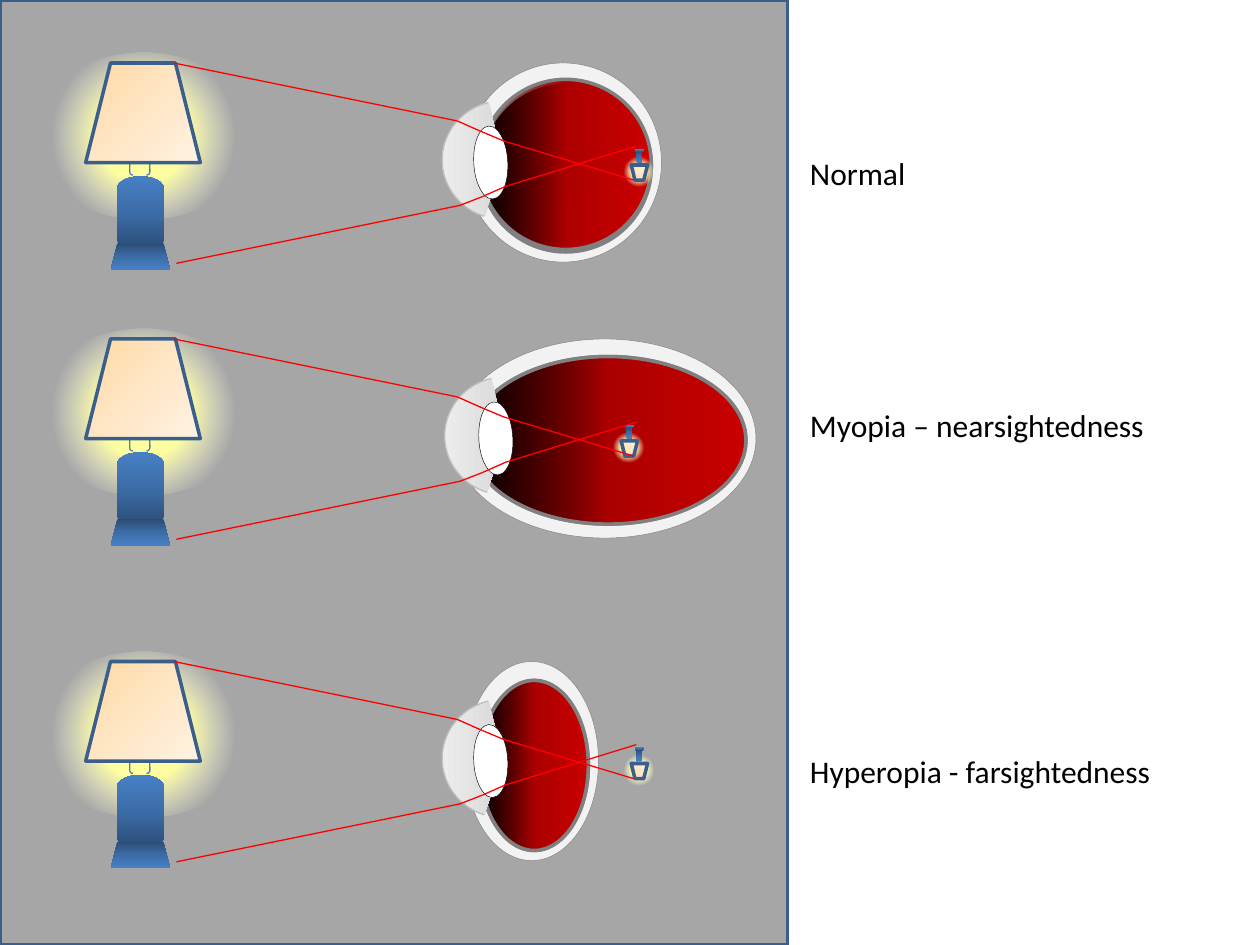
from dataclasses import dataclass
from typing import Optional

from pptx import Presentation
from pptx.dml.color import RGBColor
from pptx.enum.shapes import MSO_CONNECTOR, MSO_SHAPE
from pptx.enum.text import MSO_AUTO_SIZE
from pptx.oxml import parse_xml
from pptx.oxml.ns import nsdecls, qn
from pptx.oxml.xmlchemy import OxmlElement
from pptx.util import Emu, Pt

PX = 9144  # 100 px to the inch

COLORS = {
    "panel": "A6A6A6", "outline": "3A5F8C", "sclera": "F2F2F2", "gray": "808080",
    "black": "000000", "white": "FFFFFF", "cornea": "BFBFBF", "bracket": "4B7EBC",
    "ray": "FF0000",
}


@dataclass(frozen=True)
class Gradient:
    stops: tuple  # (position %, colour, opacity %)
    angle: Optional[int] = None  # None means circular


@dataclass(frozen=True)
class Part:
    kind: MSO_SHAPE
    box: tuple  # left, top, width, height
    fill: object = None  # colour name, Gradient or None
    line: Optional[str] = None
    weight: float = 0.75
    rotation: float = 0
    flip: str = ""
    adjustments: tuple = ()


@dataclass(frozen=True)
class Eye:
    label: str
    label_top: int
    top: int
    sclera: tuple  # left, width
    retina: tuple  # left, top, width, height
    retina_lift: int  # how far the red layer sits above the black one
    cornea_left: int
    lens_left: int
    image_left: int


BLUE_STOPS = ((0, "2A4C75", 100), (50, "3C6CA6", 100), (100, "4780C5", 100))
BODY = Gradient(BLUE_STOPS, 180)
BASE = Gradient(BLUE_STOPS, 90)
SHADE = Gradient(((0, "FFD8A0", 100), (50, "FFE6C5", 100), (100, "FFF2E3", 100)), 45)
GLOW = Gradient(((32, "FFFFA0", 100), (50, "FFFFC5", 46), (66, "FFFFE3", 0), (100, "FFFFE3", 0)))
RED = Gradient(((0, "790000", 0), (50, "AC0000", 100), (100, "CC0000", 100)), 0)
CORNEA = Gradient(((0, "B9CDE5", 100), (50, "D9D9D9", 100), (100, "ECECEC", 100)), 180)

# Tops are measured from the top of each row
LAMP_GLOW = Part(MSO_SHAPE.OVAL, (25, -8, 178, 132), GLOW)
LAMP = (
    Part(MSO_SHAPE.FLOWCHART_TERMINATOR, (82, 101, 59, 37), BODY, rotation=90),
    Part(MSO_SHAPE.TRAPEZOID, (88, 143, 47, 21), BASE),
    Part(MSO_SHAPE.DOUBLE_BRACKET, (103, 65, 16, 24), line="bracket", flip="H"),
    Part(MSO_SHAPE.TRAPEZOID, (68, 0, 91, 79), SHADE, "outline", 2),
)
# The upside-down lamp is measured from the corner of its glow
IMAGE_TOP = 74
IMAGE = (
    Part(MSO_SHAPE.OVAL, (0, 0, 28, 24), GLOW),
    Part(MSO_SHAPE.FLOWCHART_TERMINATOR, (10, -2, 9, 5), BODY, rotation=270, flip="V"),
    Part(MSO_SHAPE.TRAPEZOID, (11, -6, 7, 3), BASE, flip="V"),
    Part(MSO_SHAPE.DOUBLE_BRACKET, (13, 5, 2, 4), line="bracket", flip="HV"),
    Part(MSO_SHAPE.TRAPEZOID, (8, 7, 13, 12), SHADE, "outline", 2, flip="V"),
)
RAYS = (
    ((138, 0), (363, 46), (381, 54), (400, 62), (503, 93)),
    ((140, 159), (365, 113), (383, 106), (401, 98), (505, 66)),
)
EYES = (
    Eye("Normal", 67, 50, (369, 156), (381, 15, 136, 135), 2, 351, 376, 493),
    Eye("Myopia – nearsightedness", 48, 269, (360, 240), (373, 14, 219, 133), 0, 353, 380, 485),
    Eye("Hyperopia - farsightedness", 67, 525, (369, 106), (381, 15, 86, 135), 0, 351, 376, 493),
)


def px(value: int) -> Emu:
    return Emu(value * PX)


def rgb(name: str) -> RGBColor:
    return RGBColor.from_string(COLORS[name])


def apply_gradient(shape, gradient: Gradient) -> None:
    stops = "".join(
        f'<a:gs pos="{position * 1000}"><a:srgbClr val="{color}">'
        f'<a:alpha val="{opacity * 1000}"/></a:srgbClr></a:gs>'
        for position, color, opacity in gradient.stops
    )
    if gradient.angle is None:
        shade = ('<a:path path="circle"><a:fillToRect l="50000" t="50000" '
                 'r="50000" b="50000"/></a:path>')
    else:
        shade = f'<a:lin ang="{gradient.angle * 60000}" scaled="0"/>'
    shape.fill.solid()
    properties = shape.element.spPr
    properties.replace(
        properties.find(qn("a:solidFill")),
        parse_xml(f'<a:gradFill {nsdecls("a")} rotWithShape="1">'
                  f"<a:gsLst>{stops}</a:gsLst>{shade}</a:gradFill>"),
    )


def draw_part(shapes, part: Part, left: int = 0, top: int = 0) -> None:
    x, y, width, height = part.box
    shape = shapes.add_shape(part.kind, px(left + x), px(top + y), px(width), px(height))
    shape.shadow.inherit = False
    shape.rotation = part.rotation
    for index, value in enumerate(part.adjustments):
        shape.adjustments[index] = value
    for axis in part.flip:
        shape.element.spPr.xfrm.set(f"flip{axis}", "1")
    if isinstance(part.fill, Gradient):
        apply_gradient(shape, part.fill)
    elif part.fill:
        shape.fill.solid()
        shape.fill.fore_color.rgb = rgb(part.fill)
    else:
        shape.fill.background()
    if part.line:
        shape.line.color.rgb = rgb(part.line)
        shape.line.width = Pt(part.weight)
    else:
        shape.line.fill.background()


def draw_group(slide, parts: tuple, left: int, top: int) -> None:
    group = slide.shapes.add_group_shape()
    for part in parts:
        draw_part(group.shapes, part, left, top)


def draw_ray(slide, points: tuple, top: int) -> None:
    group = slide.shapes.add_group_shape()
    for (x1, y1), (x2, y2) in zip(points, points[1:]):
        connector = group.shapes.add_connector(
            MSO_CONNECTOR.STRAIGHT, px(x1), px(top + y1), px(x2), px(top + y2))
        connector.line.color.rgb = rgb("ray")
        connector.line.width = Pt(0.75)
        connector.element.spPr.append(OxmlElement("a:effectLst"))


def add_text(slide, text: str, *, left: int, top: int, width: int, height: int,
             size: int = 18, color: str = "black", font: str = "Calibri") -> None:
    frame = slide.shapes.add_textbox(px(left), px(top), px(width), px(height)).text_frame
    frame.word_wrap = False
    frame.auto_size = MSO_AUTO_SIZE.SHAPE_TO_FIT_TEXT
    run = frame.paragraphs[0].add_run()
    run.text = text
    run.font.size = Pt(size)
    run.font.name = font
    run.font.color.rgb = rgb(color)


def draw_eye(slide, eye: Eye) -> None:
    sclera_left, sclera_width = eye.sclera
    left, top, width, height = eye.retina
    parts = (
        Part(MSO_SHAPE.OVAL, (sclera_left, 0, sclera_width, 158), "sclera", "gray", 0.25),
        Part(MSO_SHAPE.OVAL, eye.retina, "black", "gray", 2),
        Part(MSO_SHAPE.OVAL, (left, top - eye.retina_lift, width, height), RED, "gray", 2),
        Part(MSO_SHAPE.ARC, (eye.cornea_left, 30, 97, 94), CORNEA, "cornea",
             adjustments=(65.17, 153.26)),
        Part(MSO_SHAPE.OVAL, (eye.lens_left, 50, 27, 58), "white", "black", 0.25, 356.9),
    )
    for part in parts:
        draw_part(slide.shapes, part, top=eye.top)


def main() -> None:
    presentation = Presentation()
    presentation.slide_width, presentation.slide_height = px(1000), px(750)
    slide = presentation.slides.add_slide(presentation.slide_layouts[6])

    # Gray backdrop
    draw_part(slide.shapes, Part(MSO_SHAPE.RECTANGLE, (0, 0, 625, 750), "panel", "outline", 2))

    # One row per eye: eyeball, lamp, focused image, light rays
    for eye in EYES:
        draw_eye(slide, eye)
        draw_part(slide.shapes, LAMP_GLOW, top=eye.top)
        draw_group(slide, LAMP, 0, eye.top)
        draw_group(slide, IMAGE, eye.image_left, eye.top + IMAGE_TOP)
        for points in RAYS:
            draw_ray(slide, points, eye.top)

    # Labels
    for eye in EYES:
        add_text(slide, eye.label, left=633, top=eye.top + eye.label_top,
                 width=102 if eye.label == "Normal" else 322, height=40)

    presentation.save("out.pptx")


if __name__ == "__main__":
    main()
